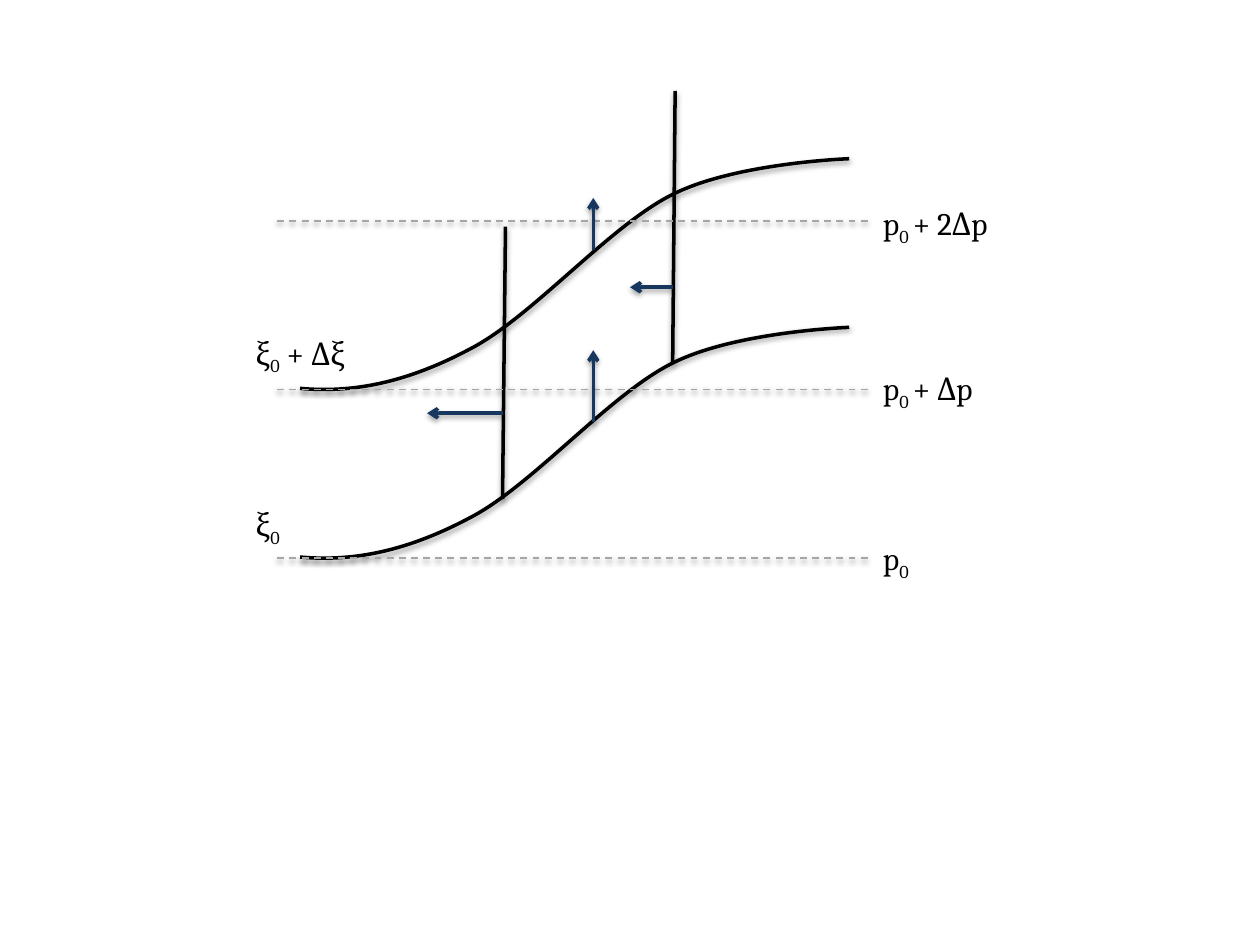
"""Draw two rising curves against evenly spaced pressure levels."""
from lxml import etree
from pptx import Presentation, util as u
from pptx.dml.color import RGBColor
from pptx.enum import dml, shapes, text
from pptx.oxml import parse_xml
from pptx.oxml.ns import nsdecls, qn

THEME = {
    "font": {"name": "Cambria", "size": u.Pt(18)},
    "ink": "000000",
    "solid": {"color": "000000", "width": 2},
    "level": {"color": "A6A6A6", "width": 1, "dash": dml.MSO_LINE.DASH},
    "arrow": {"color": "17375E", "width": 2, "tail": "arrow"},
}
STEP = 3.4
START = (6.05, 11.23)
BENDS = [
    [(7.14, 11.33), (8.23, 11.1), (9.47, 10.44)],
    [(10.72, 9.8), (12.29, 7.95), (13.56, 7.32)],
    [(14.83, 6.68), (17.12, 6.6), (17.12, 6.6)],
]
WALLS = [(13.56, 7.32, 13.61, 1.83), (10.13, 10.06, 10.19, 4.57)]
LEFT, RIGHT, BASE = 5.59, 17.55, 11.25
LEVELS = [(LEFT, BASE - i * STEP, RIGHT, BASE - i * STEP) for i in range(3)]
ARROWS = [(13.56, 5.79, 12.7, 5.79), (10.13, 8.33, 8.61, 8.33),
          (11.96, 5.03, 11.96, 3.99), (11.96, 8.51, 11.96, 7.06)]
LABELS = [
    (RIGHT, 10.74, 1.96, ("p", "0", "")),
    (RIGHT, 7.32, 2.54, ("p", "0 ", "+ Δp")),
    (RIGHT, 3.99, 2.84, ("p", "0 ", "+ 2Δp")),
    (4.9, 10.06, 1.52, ("ξ", "0", "")),
    (4.9, 6.6, 2.67, ("ξ", "0", " + Δξ")),
]
SHADE = (f'<a:effectLst {nsdecls("a")}><a:outerShdw blurRad="40000" dist="20000" '
         'dir="5400000" rotWithShape="0"><a:srgbClr val="000000">'
         '<a:alpha val="38000"/></a:srgbClr></a:outerShdw></a:effectLst>')


def style(shape, look):
    line = shape.line
    line.color.rgb = RGBColor.from_string(look["color"])
    line.width = u.Pt(look["width"])
    if "dash" in look:
        line.dash_style = look["dash"]
    props = shape._element.spPr
    if "tail" in look:
        etree.SubElement(props.find(qn("a:ln")), qn("a:tailEnd"), type=look["tail"])
    for old in props.findall(qn("a:effectLst")):
        props.remove(old)
    props.append(parse_xml(SHADE))


def curve(page, rise):
    first, *rest = [(u.Cm(x), u.Cm(y - rise)) for x, y in [START, *sum(BENDS, [])]]
    pen = page.shapes.build_freeform(*first)
    pen.add_line_segments(rest, close=False)
    shape = pen.convert_to_shape()
    shape.fill.background()
    shape.shadow.inherit = False
    steps = list(shape._element.iter(qn("a:lnTo")))
    for i in range(0, len(steps), 3):
        bend = etree.Element(qn("a:cubicBezTo"))
        steps[i].addprevious(bend)
        for step in steps[i:i + 3]:
            bend.append(step[0])
            step.getparent().remove(step)
    style(shape, THEME["solid"])


def label(page, x, y, width, parts):
    frame = page.shapes.add_textbox(*map(u.Cm, (x, y, width, 1.02))).text_frame
    frame.word_wrap = True
    frame.auto_size = text.MSO_AUTO_SIZE.SHAPE_TO_FIT_TEXT
    for part, shift in zip(parts, (0, -25000, 0)):
        if part:
            run = frame.paragraphs[0].add_run()
            run.text = part
            for key, value in THEME["font"].items():
                setattr(run.font, key, value)
            run.font.color.rgb = RGBColor.from_string(THEME["ink"])
            if shift:
                run._r.get_or_add_rPr().set("baseline", str(shift))


def lines(page, ends, look):
    for end in ends:
        style(page.shapes.add_connector(shapes.MSO_CONNECTOR.STRAIGHT,
                                        *map(u.Cm, end)), THEME[look])


deck = Presentation()
deck.slide_width, deck.slide_height = u.Cm(25.4), u.Cm(19.05)
page = deck.slides.add_slide(deck.slide_layouts[6])
for rise in (0, STEP):
    curve(page, rise)
lines(page, WALLS, "solid")
lines(page, LEVELS, "level")
for item in LABELS:
    label(page, *item)
lines(page, ARROWS, "arrow")
deck.save("out.pptx")
